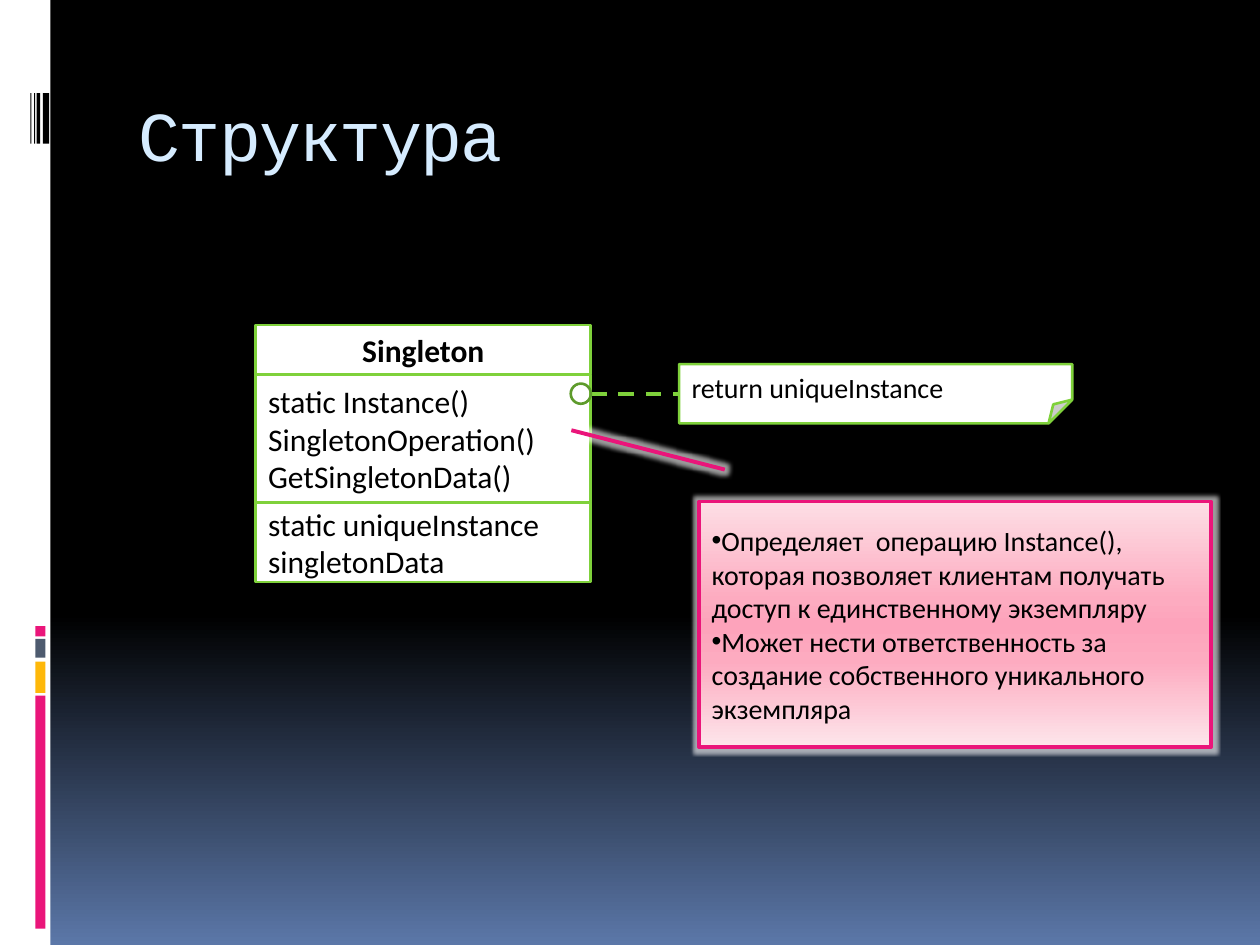
from lxml.etree import SubElement
from pptx import Presentation
from pptx.dml.color import RGBColor
from pptx.enum.dml import MSO_LINE
from pptx.enum.shapes import MSO_CONNECTOR, MSO_SHAPE
from pptx.enum.text import MSO_ANCHOR, PP_ALIGN
from pptx.oxml.ns import qn
from pptx.util import Inches, Pt

WHITE = RGBColor(0xFF, 0xFF, 0xFF)
BLACK = RGBColor(0, 0, 0)
PINK = RGBColor(0xEA, 0x15, 0x7A)
AMBER = RGBColor(0xFE, 0xB8, 0x0A)
SLATE = RGBColor(0x4E, 0x5B, 0x6F)
GREEN = RGBColor(0x7F, 0xD1, 0x3B)
DARK_GREEN = RGBColor(0x5E, 0x9B, 0x2C)
PALE_BLUE = RGBColor(0xD6, 0xEC, 0xFF)
NIGHT = [(0, BLACK), (65, BLACK), (100, RGBColor(0x5B, 0x77, 0xA8))]
BLUSH = [(0, RGBColor(0xFD, 0xDE, 0xE5)), (40, RGBColor(0xFD, 0xAB, 0xC0)),
         (50, RGBColor(0xFD, 0xA3, 0xBB)), (65, RGBColor(0xFD, 0xAB, 0xC0)),
         (100, RGBColor(0xFD, 0xE5, 0xEB))]


def set_values(target, values):
    """Set each named attribute on the target."""
    for name, value in values.items():
        setattr(target, name, value)


def set_gradient(fill, owner, stops):
    """Give the owner's fill a top-to-bottom gradient."""
    fill.gradient()
    fill.gradient_angle = 270
    stop_list = next(owner.iter(qn("a:gsLst")))
    stop_list.clear()
    for percent, color in stops:
        stop = SubElement(stop_list, qn("a:gs"), pos=str(percent * 1000))
        SubElement(stop, qn("a:srgbClr"), val=str(color))


def add_part(page, kind, box, fill=None, line=None, width=1.5):
    """Add a flat preset shape in a box given in inches."""
    part = page.shapes.add_shape(kind, *map(Inches, box))
    part.shadow.inherit = False
    if fill is None:
        part.fill.background()
    else:
        part.fill.solid()
        part.fill.fore_color.rgb = fill
    if line is None:
        part.line.fill.background()
    else:
        part.line.color.rgb = line
        part.line.width = Pt(width)
    return part


def write(part, lines, size, align=PP_ALIGN.LEFT, anchor=MSO_ANCHOR.MIDDLE, bold=False):
    """Write one paragraph for each line."""
    frame = part.text_frame
    set_values(frame, {"word_wrap": True, "vertical_anchor": anchor})
    frame.text = "\n".join(lines)
    for para in frame.paragraphs:
        para.alignment = align
        for span in para.runs:
            set_values(span.font, {"name": "Calibri", "size": Pt(size), "bold": bold})
            span.font.color.rgb = BLACK


def add_side_band(page, left, top, width, height):
    """Draw the white band with its coloured blocks and bar marks."""
    add_part(page, MSO_SHAPE.RECTANGLE, (left, top, width, height), WHITE)
    for y, length, color in [(5.52, 1.85, PINK), (5.25, 0.25, AMBER),
                             (5.07, 0.15, SLATE), (4.97, 0.08, PINK)]:
        add_part(page, MSO_SHAPE.RECTANGLE, (left + 0.28, top + y, 0.08, length), color)
    for x, thickness in [(0.34, 0.05), (0.29, 0.03), (0.27, 0.01), (0.24, 0.01)]:
        add_part(page, MSO_SHAPE.RECTANGLE, (left + x, top + 0.74, thickness, 0.4), BLACK)


def add_title(page, text, box):
    """Place and format the title placeholder."""
    title = page.shapes.title
    set_values(title, dict(zip(("left", "top", "width", "height"), map(Inches, box))))
    title.text_frame.text = text
    title.text_frame.vertical_anchor = MSO_ANCHOR.MIDDLE
    para = title.text_frame.paragraphs[0]
    para.alignment = PP_ALIGN.LEFT
    span = para.runs[0]
    set_values(span.font, {"name": "Courier New", "size": Pt(40)})
    span.font.color.rgb = PALE_BLUE
    span.font._element.set("spc", "-100")


def add_class_box(page, left, top, width):
    """Stack the name, operations and data of the class."""
    sections = [
        (0.39, ["Singleton"], {"align": PP_ALIGN.CENTER, "bold": True}),
        (1.02, ["static Instance()", "SingletonOperation()", "GetSingletonData()"], {}),
        (0.63, ["static uniqueInstance", "singletonData"], {}),
    ]
    for height, lines, style in sections:
        section = add_part(page, MSO_SHAPE.RECTANGLE, (left, top, width, height), WHITE, GREEN)
        write(section, lines, 18, **style)
        top += height


def set_guides(part, guides):
    """Set the named shape guides as fractions of the shape."""
    guide_list = next(part.element.iter(qn("a:avLst")))
    guide_list.clear()
    for name, value in guides.items():
        SubElement(guide_list, qn("a:gd"), name=name, fmla=f"val {round(value * 100000)}")


def add_callout(page, box, lines):
    """Add the glowing bulleted callout with its pointer."""
    callout = add_part(page, MSO_SHAPE.LINE_CALLOUT_1, box, WHITE, PINK, 2.25)
    set_guides(callout, {"adj1": -0.13, "adj2": 0.05, "adj3": -0.29, "adj4": -0.25})
    set_gradient(callout.fill, callout.element, BLUSH)
    effects = next(callout.element.iter(qn("a:effectLst")))
    glow = SubElement(effects, qn("a:glow"), rad=str(Inches(0.06)))
    color = SubElement(glow, qn("a:srgbClr"), val=str(WHITE))
    SubElement(color, qn("a:alpha"), val="60000")
    write(callout, lines, 16)
    for para in callout.text_frame.paragraphs:
        props = para._p.get_or_add_pPr()
        SubElement(props, qn("a:buFont"), typeface="Arial")
        SubElement(props, qn("a:buChar"), char="•")


def add_note(page, left, top, width, height, text):
    """Add the folded note and the dashed link to its class."""
    middle = top + height / 2
    link = page.shapes.add_connector(MSO_CONNECTOR.STRAIGHT, *map(
        Inches, (left - 0.7, middle, left, middle)))
    link.line.color.rgb = GREEN
    set_values(link.line, {"width": Pt(2.25), "dash_style": MSO_LINE.DASH})
    SubElement(link.element.spPr, qn("a:effectLst"))
    add_part(page, MSO_SHAPE.OVAL, (left - 0.86, middle - 0.08, 0.16, 0.16), line=DARK_GREEN)
    note = add_part(page, MSO_SHAPE.FOLDED_CORNER, (left, top, width, height), WHITE, GREEN)
    set_guides(note, {"adj": 0.4})
    write(note, [text], 16, anchor=MSO_ANCHOR.TOP)


def build():
    """Build and save the slide."""
    deck = Presentation()
    set_values(deck, {"slide_width": Inches(10), "slide_height": Inches(7.5)})
    page = deck.slides.add_slide(deck.slide_layouts[5])
    set_gradient(page.background.fill, page.element, NIGHT)
    add_side_band(page, 0, 0, 0.4, 7.5)
    add_title(page, "Структура", (1, 0.56, 8.5, 1))
    add_class_box(page, 2.03, 2.58, 2.66)
    add_callout(page, (5.55, 3.98, 4.06, 1.95), [
        "Определяет  операцию Instance(), которая позволяет клиентам "
        "получать доступ к единственному экземпляру",
        "Может нести ответственность за создание собственного уникального экземпляра",
    ])
    add_note(page, 5.39, 2.89, 3.12, 0.47, "return uniqueInstance")
    deck.save("out.pptx")


build()
